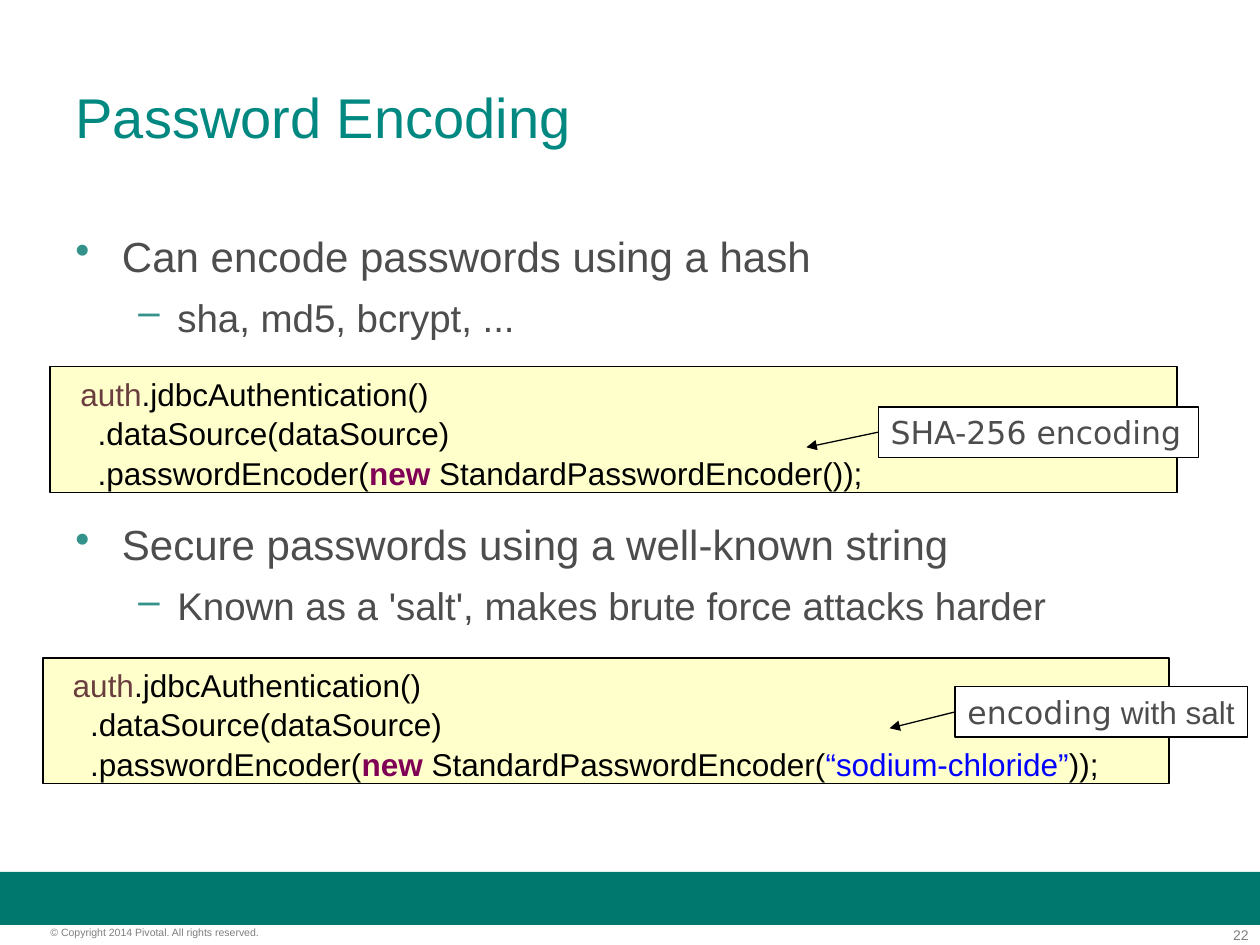
from collections import namedtuple
from dataclasses import dataclass

from lxml.etree import SubElement
from pptx import Presentation
from pptx.dml.color import RGBColor
from pptx.enum.shapes import MSO_CONNECTOR, MSO_SHAPE
from pptx.enum.text import MSO_ANCHOR, PP_ALIGN
from pptx.oxml.ns import qn
from pptx.util import Inches, Pt

Box = namedtuple("Box", "left top width height")


@dataclass(frozen=True)
class Theme:
    """Colours, fonts and type sizes of the slide."""
    font: str = "Arial"
    wide: str = "DejaVu Sans"
    white: str = "FFFFFF"
    black: str = "000000"
    title: str = "008881"
    body: str = "4D4D4D"
    mark: str = "33928A"
    band: str = "00786E"
    foot: str = "7F7F7F"
    code: str = "FFFFCC"
    field: str = "6A3E3E"
    key: str = "7F0055"
    quote: str = "0000FF"
    title_size: int = 32
    head_size: int = 24
    sub_size: int = 22
    code_size: int = 18
    page_size: int = 8
    note_size: int = 6
    lead: float = 1.05


THEME = Theme()


def place(left, top, width, height):
    """Return a box measured in inches."""
    return Box(Inches(left), Inches(top), Inches(width), Inches(height))


def style(font, size, color, name=THEME.font, bold=False):
    """Format one font."""
    font.size, font.name, font.bold = Pt(size), name, bold
    font.color.rgb = RGBColor.from_string(color)


def add_runs(para, parts, size):
    """Fill a paragraph with runs of (text, colour, font, bold)."""
    for text, color, name, bold in parts:
        run = para.add_run()
        run.text = text
        style(run.font, size, color, name, bold)


def add_panel(slide, box, fill, line=None):
    """Draw a flat rectangle and return it."""
    panel = slide.shapes.add_shape(MSO_SHAPE.RECTANGLE, *box)
    panel.shadow.inherit = False
    panel.fill.solid()
    panel.fill.fore_color.rgb = RGBColor.from_string(fill)
    if line:
        panel.line.color.rgb = RGBColor.from_string(THEME.black)
        panel.line.width = Pt(line)
    else:
        panel.line.fill.background()
    panel.text_frame.word_wrap = True
    return panel


def add_title(slide, box, text):
    """Place the slide title."""
    title = slide.shapes.title
    title.left, title.top, title.width, title.height = box
    frame = title.text_frame
    frame.text = text
    frame.vertical_anchor = MSO_ANCHOR.MIDDLE
    para = frame.paragraphs[0]
    para.alignment = PP_ALIGN.LEFT
    style(para.runs[0].font, THEME.title_size, THEME.title)


def add_mark(para, sign, left, hang):
    """Give a paragraph a coloured bullet and a hanging indent."""
    props = para._p.get_or_add_pPr()
    props.set("marL", str(left))
    props.set("indent", str(-hang))
    color = SubElement(props, qn("a:buClr"))
    SubElement(color, qn("a:srgbClr")).set("val", THEME.mark)
    SubElement(props, qn("a:buChar")).set("char", sign)


def add_topic(slide, box, head, sub):
    """Write a bullet with its sub-bullet."""
    frame = slide.shapes.add_textbox(*box).text_frame
    frame.word_wrap = True
    rows = [(head, "•", 0.37, 0.37, THEME.head_size),
            (sub, "–", 0.81, 0.31, THEME.sub_size)]
    for index, (text, sign, left, hang, size) in enumerate(rows):
        para = frame.add_paragraph() if index else frame.paragraphs[0]
        para.text = text
        add_mark(para, sign, Inches(left), Inches(hang))
        para.line_spacing = THEME.lead
        if index:
            para.space_before = Pt(6)
        style(para.runs[0].font, size, THEME.body)


def add_code(slide, box, args):
    """Write the code sample, with args passed to the encoder."""
    def plain(text):
        return text, THEME.black, THEME.font, False

    lines = [
        [plain("  "), ("auth", THEME.field, THEME.font, False),
         plain(".jdbcAuthentication()")],
        [plain("    .dataSource(dataSource)")],
        [plain("    .passwordEncoder("), ("new", THEME.key, THEME.font, True),
         plain(" StandardPasswordEncoder(")],
    ]
    if args:
        lines[-1].append((args, THEME.quote, THEME.font, False))
    lines[-1].append(plain("));"[0:] if args else "());"[1:]))
    frame = add_panel(slide, box, THEME.code, 1).text_frame
    frame.vertical_anchor = MSO_ANCHOR.TOP
    for index, parts in enumerate(lines):
        para = frame.add_paragraph() if index else frame.paragraphs[0]
        para.alignment = PP_ALIGN.LEFT
        para.line_spacing = THEME.lead
        add_runs(para, parts, THEME.code_size)


def add_label(slide, box, parts, reach, drop):
    """Draw a label whose arrow runs left by reach and down by drop."""
    start = box.top + box.height // 2
    arrow = slide.shapes.add_connector(
        MSO_CONNECTOR.STRAIGHT, box.left, start, box.left - reach, start + drop)
    arrow.line.color.rgb = RGBColor.from_string(THEME.black)
    arrow.line.width = Pt(0.75)
    SubElement(arrow.line._get_or_add_ln(), qn("a:tailEnd")).set("type", "triangle")
    SubElement(arrow._element.spPr, qn("a:effectLst"))
    frame = add_panel(slide, box, THEME.white, 0.75).text_frame
    frame.margin_right = Inches(0.05)
    frame.vertical_anchor = MSO_ANCHOR.MIDDLE
    para = frame.paragraphs[0]
    para.alignment = PP_ALIGN.LEFT
    add_runs(para, [(text, THEME.body, name, False) for text, name in parts],
             THEME.code_size)


def add_foot(slide, box, note, page):
    """Draw the bottom band with the copyright line and page number."""
    add_panel(slide, box, THEME.band)
    top = box.top + Inches(0.43)
    rows = [
        (note, Inches(0.4), Inches(2.49), PP_ALIGN.LEFT, THEME.note_size),
        (page, Inches(9.33), Inches(0.58), PP_ALIGN.RIGHT, THEME.page_size),
    ]
    for text, left, width, align, size in rows:
        frame = slide.shapes.add_textbox(
            box.left + left, top, width, Inches(0.13)).text_frame
        frame.margin_left = frame.margin_right = 0
        frame.margin_top = frame.margin_bottom = 0
        frame.word_wrap = True
        frame.text = text
        frame.paragraphs[0].alignment = align
        style(frame.paragraphs[0].runs[0].font, size, THEME.foot)


def main():
    """Build and save the slide."""
    deck = Presentation()
    deck.slide_width, deck.slide_height = Inches(10), Inches(7.5)
    slide = deck.slides.add_slide(deck.slide_layouts[5])
    add_foot(slide, place(0, 6.92, 10, 0.42),
             "© Copyright 2014 Pivotal. All rights reserved.", "22")
    add_title(slide, place(0.5, 0.3, 9, 1.25), "Password Encoding")
    add_topic(slide, place(0.5, 1.76, 9, 0.96),
              "Can encode passwords using a hash", "sha, md5, bcrypt, ...")
    add_topic(slide, place(0.5, 4.05, 9, 0.96),
              "Secure passwords using a well-known string",
              "Known as a 'salt', makes brute force attacks harder")
    add_code(slide, place(0.4, 2.91, 8.94, 1), "")
    add_label(slide, place(6.97, 3.23, 2.54, 0.4),
              [("SHA-256 encoding", THEME.wide)], Inches(0.57), Inches(0.12))
    add_code(slide, place(0.34, 5.22, 8.94, 1), "“sodium-chloride”")
    add_label(slide, place(7.58, 5.45, 2.32, 0.4),
              [("encoding", THEME.wide), (" with salt", THEME.font)],
              Inches(0.52), Inches(0.13))
    deck.save("out.pptx")


if __name__ == "__main__":
    main()
